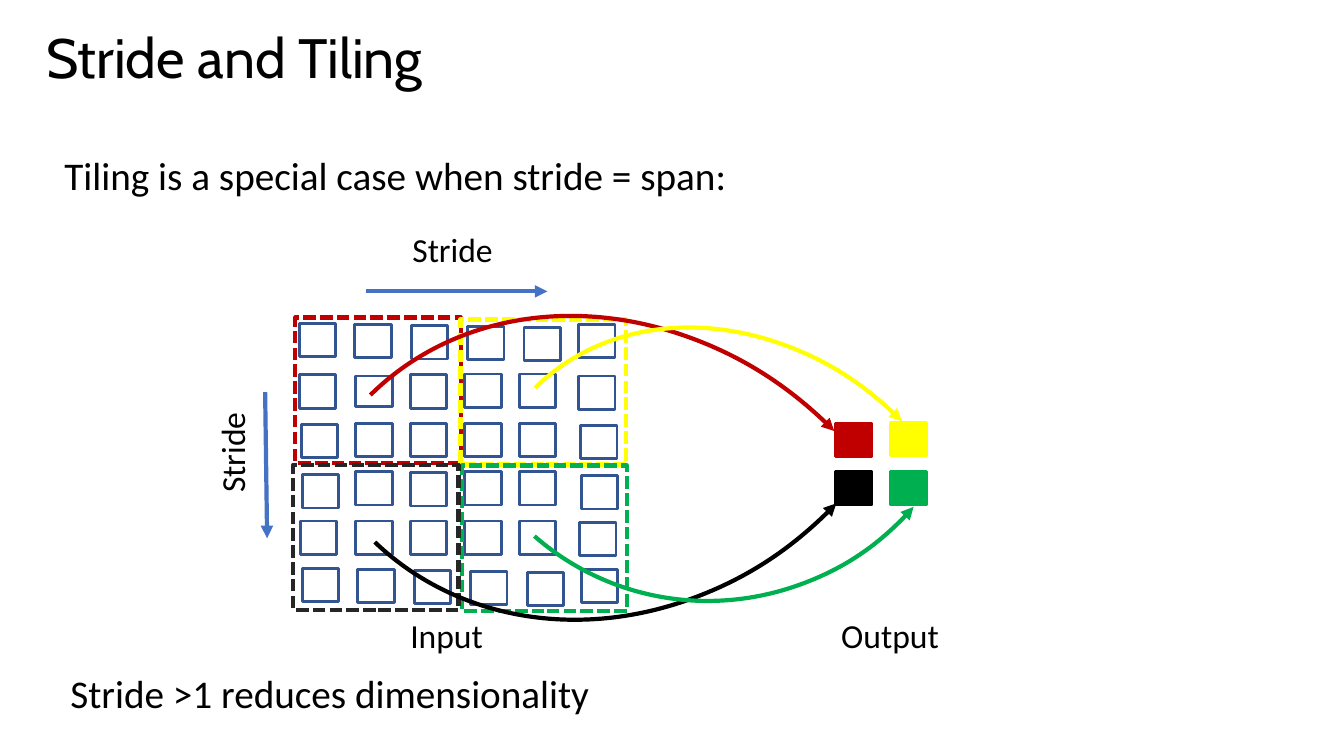
from pptx import Presentation
from pptx.dml.color import RGBColor
from pptx.enum.dml import MSO_LINE
from pptx.enum.shapes import MSO_CONNECTOR, MSO_SHAPE
from pptx.enum.text import MSO_ANCHOR, PP_ALIGN
from pptx.oxml.ns import qn
from pptx.util import Pt
from lxml.etree import SubElement

RED, YELLOW, GREEN, BLACK = "C00000", "FFFF00", "00B050", "000000"
DARK, NAVY, BLUE = "262626", "325491", "4472C4"
CELL = 26, 23.8
TILE = 118.1, 103.7

# Each input row: first left, second left, inner pitch, last left, tops
ROWS = [
    (213.8, 253.4, 40.3, 413.3, (231.1, 231.8, 232.6, 233.3, 234, 231.8)),
    (213.8, 254.2, 38.9, 413.3, (267.8, 268.6, 267.8, 267.1, 267.1, 268.6)),
    (215.3, 254.2, 38.9, 414.7, (303.1, 302.4, 302.4, 302.4, 302.4, 303.8)),
    (216, 254.2, 38.9, 415.4, (339.1, 337, 337.7, 337, 337, 339.8)),
    (214.6, 254.2, 38.9, 414, (372.2, 372.2, 372.2, 372.2, 372.2, 373)),
    (216, 255.6, 40.3, 415.4, (406.1, 406.8, 407.5, 408.2, 409, 406.8)),
]


def color(code):
    return RGBColor.from_string(code)


def stroke(line, code, width):
    line.color.rgb = color(code)
    line.width = Pt(width)


def point(shape):
    """Put a triangle at the end of a line."""
    SubElement(shape.line._get_or_add_ln(), qn("a:tailEnd"), type="triangle")


def add_form(slide, kind, box, code, width, fill=None):
    shape = slide.shapes.add_shape(kind, *map(Pt, box))
    shape.shadow.inherit = False
    if fill:
        shape.fill.solid()
        shape.fill.fore_color.rgb = color(fill)
    else:
        shape.fill.background()
    stroke(shape.line, code, width)
    return shape


def add_tile(slide, left, top, code):
    tile = add_form(slide, MSO_SHAPE.RECTANGLE, (left, top, *TILE), code, 3)
    tile.line.dash_style = MSO_LINE.SQUARE_DOT


def add_grid(slide):
    for row, (first, inner, pitch, last, tops) in enumerate(ROWS):
        lefts = [first, *(inner + pitch * i for i in range(4)), last]
        for col, (left, top) in enumerate(zip(lefts, tops)):
            wide, high = CELL
            if (row, col) == (1, 1):
                high = 21.6
            box = left, top, wide, high
            add_form(slide, MSO_SHAPE.RECTANGLE, box, NAVY, 2)


def add_curve(slide, box, turn, code, flip=False):
    curve = add_form(slide, MSO_SHAPE.ARC, box, code, 3)
    curve.rotation = turn
    if flip:
        curve._element.spPr.find(qn("a:xfrm")).set("flipV", "1")
    point(curve)


def add_arrow(slide, ends):
    arrow = slide.shapes.add_connector(MSO_CONNECTOR.STRAIGHT, *map(Pt, ends))
    stroke(arrow.line, BLUE, 3)
    point(arrow)
    SubElement(arrow._element.spPr, qn("a:effectLst"))


def add_text(slide, text, box, size, face="Calibri", align=PP_ALIGN.LEFT,
             anchor=MSO_ANCHOR.TOP, lead=1.0, before=0):
    item = slide.shapes.add_textbox(*map(Pt, box))
    frame = item.text_frame
    frame.word_wrap = True
    frame.vertical_anchor = anchor
    para = frame.paragraphs[0]
    para.text = text
    para.alignment = align
    para.line_spacing = lead
    para.space_before = Pt(before)
    para.font.size = Pt(size)
    para.font.name = face
    para.font.color.rgb = color(BLACK)
    return item


def add_label(slide, text, left, top):
    box = left, top, 165.6, 36
    return add_text(slide, text, box, 24, align=PP_ALIGN.CENTER)


def main():
    deck = Presentation()
    deck.slide_width, deck.slide_height = Pt(960), Pt(540)
    slide = deck.slides.add_slide(deck.slide_layouts[6])

    # Title and statements
    add_text(slide, "Stride and Tiling", (25.9, 16.6, 917.3, 53.3), 39.6,
             "Cabin", anchor=MSO_ANCHOR.MIDDLE, lead=0.9)
    add_text(slide, "Tiling is a special case when stride = span:",
             (38.9, 108, 907.2, 53.3), 28, lead=0.9, before=14)
    add_text(slide, "Stride >1 reduces dimensionality",
             (43.2, 474.5, 907.2, 53.3), 28, before=14)

    # Input cells and their tiles
    add_tile(slide, 211, 226.8, RED)
    add_grid(slide)
    add_tile(slide, 329, 228.2, YELLOW)
    add_tile(slide, 329.8, 332.6, GREEN)
    add_tile(slide, 209.5, 331.9, DARK)

    # Output cells
    for left, top, code in [(596.9, 302.4, RED), (635.8, 301.7, YELLOW),
                            (596.9, 337, BLACK), (635.8, 337, GREEN)]:
        add_form(slide, MSO_SHAPE.RECTANGLE, (left, top, *CELL), code, 2, code)

    # Labels and stride arrows
    add_label(slide, "Input", 236.2, 435.6)
    add_label(slide, "Output", 553, 435.6)
    add_label(slide, "Stride", 240.5, 159.8)
    add_label(slide, "Stride", 82.8, 305.3).rotation = 270
    add_arrow(slide, (261.4, 208.1, 391, 208.1))
    add_arrow(slide, (189.4, 280.1, 190.8, 384.5))

    # Curves from each tile to its output
    add_curve(slide, (223.9, 209.5, 434.9, 502.6), 315.3, RED)
    add_curve(slide, (354.2, 218.9, 339.1, 402.5), 315.3, YELLOW)
    add_curve(slide, (219.6, -39.6, 438.5, 495.4), 43.7, BLACK, True)
    add_curve(slide, (320.4, 42.5, 379.4, 388.8), 41.3, GREEN, True)

    deck.save("out.pptx")


if __name__ == "__main__":
    main()
